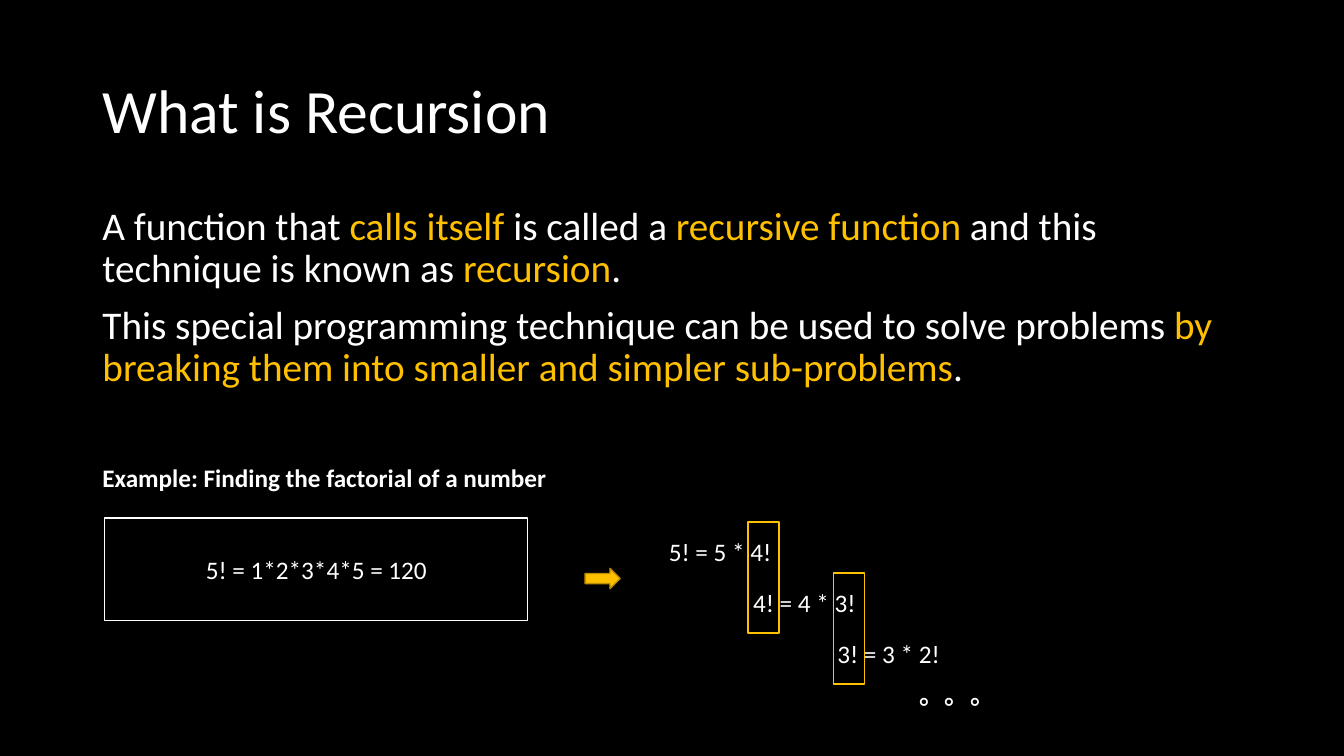
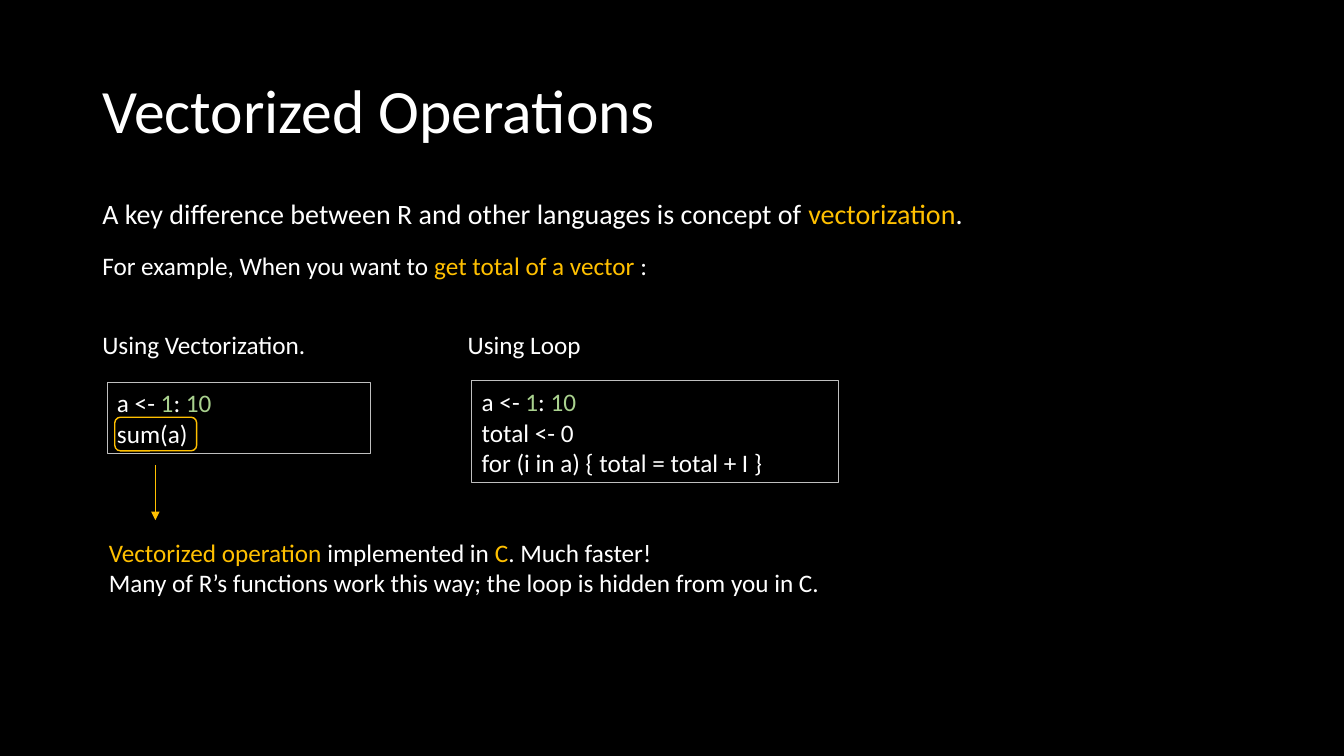
"""Build two slides on recursion and vectorized operations."""
from lxml import etree
from pptx import Presentation
from pptx.dml.color import RGBColor
from pptx.enum.shapes import MSO_CONNECTOR, MSO_SHAPE
from pptx.enum.text import MSO_AUTO_SIZE, PP_ALIGN
from pptx.oxml.ns import qn
from pptx.util import Pt

RECT = MSO_SHAPE.RECTANGLE
ROUND = MSO_SHAPE.ROUNDED_RECTANGLE
ARROW = MSO_SHAPE.RIGHT_ARROW
LINE = MSO_CONNECTOR.STRAIGHT
LEFT = PP_ALIGN.LEFT
MID = PP_ALIGN.CENTER
FIXED = MSO_AUTO_SIZE.NONE

FONT = "Calibri"
BLACK = "000000"
WHITE = "FFFFFF"
GOLD = "FFC000"
BROWN = "BD8E00"
GREY = "BFBFBF"
GREEN = "A9D18E"
hue = RGBColor.from_string


def put(shape, lines, size=18, mark=GOLD, align=LEFT, bold=False):
    """Write lines into a shape; text between bars takes the mark colour."""
    frame = shape.text_frame
    frame.word_wrap = True
    frame.auto_size = FIXED
    for i, line in enumerate(lines):
        para = frame.add_paragraph() if i else frame.paragraphs[0]
        para.alignment = align
        for j, part in enumerate(line.split("|")):
            if part:
                run = para.add_run()
                run.text = part
                run.font.name = FONT
                run.font.size = Pt(size)
                run.font.bold = bold
                run.font.color.rgb = hue(mark if j % 2 else WHITE)


def box(slide, kind, at, edge, fill=None, width=1):
    """Draw an outlined preset shape."""
    shape = slide.shapes.add_shape(kind, *map(Pt, at))
    shape.shadow.inherit = False
    if fill:
        shape.fill.solid()
        shape.fill.fore_color.rgb = hue(fill)
    else:
        shape.fill.background()
    shape.line.color.rgb = hue(edge)
    shape.line.width = Pt(width)
    return shape


deck = Presentation()
deck.slide_width, deck.slide_height = Pt(960), Pt(540)
master = deck.slide_master
master.background.fill.solid()
master.background.fill.fore_color.rgb = hue(BLACK)
areas = [(66, 29, 828, 104), (66, 144, 828, 143)]
for holder, at in zip(master.placeholders, areas):
    holder.left, holder.top, holder.width, holder.height = map(Pt, at)

slides = []
for layout, title in [(1, "What is Recursion"), (5, "Vectorized Operations")]:
    slide = deck.slides.add_slide(deck.slide_layouts[layout])
    put(slide.shapes.title, [title], 44)
    slide.shapes.title.text_frame.paragraphs[0].line_spacing = 0.9
    slides.append(slide)
first, second = slides

body = first.placeholders[1]
put(body, [
    "A function that |calls itself |is called a |recursive function"
    "| and this technique is known as |recursion|.",
    "This special programming technique can be used to solve problems "
    "|by breaking them into smaller and simpler sub-problems|.",
], 28)
for para in body.text_frame.paragraphs:
    para.line_spacing = 0.9
    para.space_before = Pt(10)
    props = para._p.get_or_add_pPr()
    props.set("marL", "0")
    props.set("indent", "0")
    etree.SubElement(props, qn("a:buNone"))

sum_box = box(first, RECT, (75, 370, 302, 73), WHITE, width=0.75)
put(sum_box, ["5! = 1*2*3*4*5 = 120"], align=MID)
box(first, ARROW, (418, 406, 25, 14.5), BROWN, GOLD)

for i in range(3):
    n = 5 - i
    at = 445.6 + 60.2 * i, 379.5 + 36.4 * i, 137.5, 29
    step = first.shapes.add_textbox(*map(Pt, at))
    put(step, [f"{n}! = {n} * {n - 1}!"], align=MID)
for i in range(2):
    box(first, RECT, (534.2 + 61.2 * i, 373 + 36.4 * i, 22.3, 79.2), GOLD)

notes = [
    (first, (66, 327, 350, 29), 18, LEFT, True,
     ["Example: Finding the factorial of a number"]),
    (first, (644.4, 481.7, 79, 29), 18, MID, True, ["。。。"]),
    (second, (66, 137, 690, 32), 20, LEFT, False,
     ["A key difference between R and other languages is concept of "
      "|vectorization|."]),
    (second, (66, 175, 521, 29), 18, LEFT, False,
     ["For example, When you want to |get total of a vector |:"]),
    (second, (66, 232, 175, 29), 18, LEFT, False, ["Using Vectorization."]),
    (second, (327, 232, 110, 29), 18, LEFT, False, ["Using Loop"]),
    (second, (70.6, 380.2, 566, 51), 18, LEFT, False,
     ["|Vectorized operation| implemented in |C|. Much faster!",
      "Many of R’s functions work this way; the loop is hidden from you in C."]),
]
for slide, at, size, align, bold, lines in notes:
    note = slide.shapes.add_textbox(*map(Pt, at))
    put(note, lines, size, align=align, bold=bold)

start = "a <- |1|: |10"
codes = [
    ((76.5, 273, 188.5, 51), [start, "sum(a)"]),
    ((337, 272, 262, 73),
     [start, "total <- 0", "for (i in a) { total = total + I }"]),
]
for at, lines in codes:
    put(box(second, RECT, at, GREY, width=0.75), lines, mark=GREEN)
box(second, ROUND, (82, 298, 58.5, 24), GOLD)

link = second.shapes.add_connector(LINE, Pt(111), Pt(332.5), Pt(111), Pt(371.5))
link.line.color.rgb = hue(GOLD)
link.line.width = Pt(0.5)
etree.SubElement(link.line._get_or_add_ln(), qn("a:tailEnd"), type="triangle")
etree.SubElement(link._element.spPr, qn("a:effectLst"))

deck.save("out.pptx")
